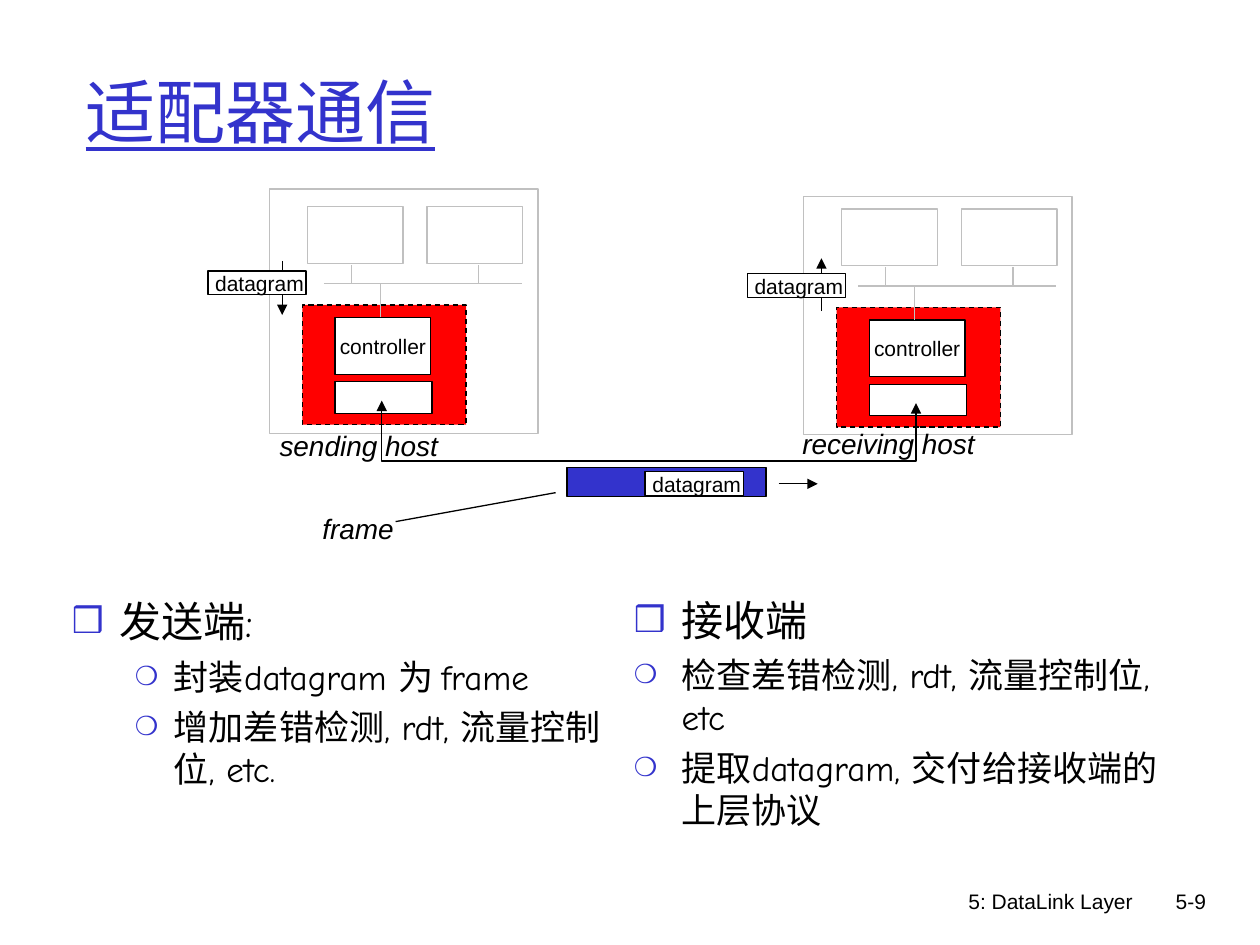
import dataclasses

import pptx
import pptx.dml.color
import pptx.enum.dml
import pptx.enum.shapes
import pptx.enum.text
import pptx.oxml.ns
import pptx.util
from lxml import etree
from pptx.util import Inches

ALIGN = pptx.enum.text.PP_ALIGN
ANCHOR = pptx.enum.text.MSO_ANCHOR
FIT = pptx.enum.text.MSO_AUTO_SIZE


@dataclasses.dataclass(frozen=True)
class Theme:
    """Colours, fonts and type sizes of the slide."""
    ink: str = "000000"
    paper: str = "FFFFFF"
    accent: str = "3333CC"
    adapter: str = "FF0000"
    muted: str = "C0C0C0"
    heading_font: str = "Comic Neue"
    label_font: str = "Arial"
    title_size: int = 40
    heading_size: int = 24
    point_size: int = 20
    caption_size: int = 16
    label_size: int = 12
    line_width: float = 0.75


def rgb(value):
    """Return the colour object for a hex value."""
    return pptx.dml.color.RGBColor.from_string(value)


def add_element(parent, tag, **attributes):
    """Append a DrawingML element to a parent element."""
    return etree.SubElement(parent, pptx.oxml.ns.qn(tag), attributes)


class SlideBuilder:
    """Draws styled elements on the current slide."""

    def __init__(self, slide, theme):
        """Keep the slide and its theme."""
        self.slide = slide
        self.theme = theme

    def style_font(self, paragraph, size, face, color=None, italic=False):
        """Set the font of a whole paragraph."""
        font = paragraph.font
        font.name = face
        font.size = pptx.util.Pt(size)
        font.color.rgb = rgb(color or self.theme.ink)
        font.italic = italic

    def style_line(self, line, color, head=False, tail=False):
        """Set an outline and its arrowheads."""
        line.color.rgb = rgb(color)
        line.width = pptx.util.Pt(self.theme.line_width)
        for tag, wanted in (("a:headEnd", head), ("a:tailEnd", tail)):
            if wanted:
                add_element(line._get_or_add_ln(), tag, type="triangle")

    def place(self, placeholder, left, top, width, height):
        """Move and size a placeholder."""
        placeholder.left, placeholder.top = Inches(left), Inches(top)
        placeholder.width, placeholder.height = Inches(width), Inches(height)
        placeholder.text_frame.auto_size = FIT.NONE

    def title(self, text, *bounds):
        """Fill the title placeholder."""
        heading = self.slide.shapes.title
        self.place(heading, *bounds)
        heading.text_frame.vertical_anchor = ANCHOR.MIDDLE
        paragraph = heading.text_frame.paragraphs[0]
        paragraph.text = text
        paragraph.alignment = ALIGN.LEFT
        self.style_font(paragraph, self.theme.title_size,
                        self.theme.heading_font, self.theme.accent)
        paragraph.font.underline = True

    def bullet(self, paragraph, char, size, indent, hanging):
        """Give a paragraph a coloured bullet and a hanging indent."""
        properties = paragraph._p.get_or_add_pPr()
        properties.set("marL", str(Inches(indent)))
        properties.set("indent", str(-Inches(hanging)))
        properties.set("hangingPunct", "0")
        color = add_element(properties, "a:buClr")
        add_element(color, "a:srgbClr", val=self.theme.accent)
        add_element(properties, "a:buSzPct", val=str(size * 1000))
        add_element(properties, "a:buChar", char=char)

    def bullets(self, index, bounds, heading, points, heading_level, indent, hanging):
        """Fill a body placeholder with a heading and its points."""
        body = self.slide.placeholders[index]
        self.place(body, *bounds)
        frame = body.text_frame
        for position, text in enumerate([heading, *points]):
            paragraph = frame.add_paragraph() if position else frame.paragraphs[0]
            paragraph.text = text
            paragraph.level = 1 if position else heading_level
            paragraph.space_before = pptx.util.Pt(5 if position else 0)
            if position:
                self.bullet(paragraph, "❍", 75, indent, hanging)
            else:
                self.bullet(paragraph, "❒", 85, 0.38, 0.38)
            size = self.theme.point_size if position else self.theme.heading_size
            self.style_font(paragraph, size, self.theme.heading_font)

    def label(self, text, left, top, width, height, size=None, italic=False):
        """Add a one-line label with its full width free for text."""
        box = self.slide.shapes.add_textbox(
            Inches(left), Inches(top), Inches(width), Inches(height))
        box.text_frame.word_wrap = True
        box.text_frame.margin_right = 0
        paragraph = box.text_frame.paragraphs[0]
        paragraph.text = text
        self.style_font(paragraph, size or self.theme.label_size,
                        self.theme.label_font, italic=italic)
        return box

    def caption(self, text, left, top, width):
        """Add an italic caption."""
        self.label(text, left, top, width, 0.37, self.theme.caption_size, True)

    def footer(self, text, left, width):
        """Add right-aligned footer text."""
        frame = self.label(text, left, 7, width, 0.5).text_frame
        frame.margin_right = Inches(0.1)
        frame.paragraphs[0].alignment = ALIGN.RIGHT

    def box(self, left, top, width, height, fill=None, line=None, text=""):
        """Add a rectangle, with centred text if given."""
        shape = self.slide.shapes.add_shape(
            pptx.enum.shapes.MSO_SHAPE.RECTANGLE,
            Inches(left), Inches(top), Inches(width), Inches(height))
        shape.shadow.inherit = False
        shape.fill.solid()
        shape.fill.fore_color.rgb = rgb(fill or self.theme.paper)
        self.style_line(shape.line, line or self.theme.ink)
        if text:
            shape.text_frame.word_wrap = False
            shape.text_frame.vertical_anchor = ANCHOR.MIDDLE
            paragraph = shape.text_frame.paragraphs[0]
            paragraph.text = text
            paragraph.alignment = ALIGN.CENTER
            self.style_font(paragraph, self.theme.label_size, self.theme.label_font)
        return shape

    def line(self, x1, y1, x2, y2, color=None, tail=False):
        """Add a straight line, with an arrow at its end if wanted."""
        connector = self.slide.shapes.add_connector(
            pptx.enum.shapes.MSO_CONNECTOR.STRAIGHT,
            Inches(x1), Inches(y1), Inches(x2), Inches(y2))
        self.style_line(connector.line, color or self.theme.ink, tail=tail)
        add_element(connector._element.spPr, "a:effectLst")

    def link(self, *points):
        """Add an open path with arrows at both ends."""
        start, *rest = [(Inches(x), Inches(y)) for x, y in points]
        builder = self.slide.shapes.build_freeform(*start)
        builder.add_line_segments(rest, close=False)
        path = builder.convert_to_shape()
        path.shadow.inherit = False
        path.fill.background()
        self.style_line(path.line, self.theme.ink, head=True, tail=True)

    def datagram(self, left, top):
        """Add a labelled datagram box."""
        self.box(left, top, 0.78, 0.19)
        self.label("datagram", left - 0.04, top - 0.05, 0.9, 0.3)

    def host(self, left, frame_top, frame_height, bus):
        """Add a host whose parts hang around its bus line."""
        muted = self.theme.muted
        self.box(left, frame_top, 2.13, frame_height, line=muted)
        card = self.box(left + 0.26, bus + 0.17, 1.3, 0.95, self.theme.adapter)
        card.line.dash_style = pptx.enum.dml.MSO_LINE.DASH
        self.box(left + 0.52, bus + 0.78, 0.77, 0.25)
        self.box(left + 0.52, bus + 0.27, 0.76, 0.45, text="controller")
        self.line(left + 0.43, bus, left + 2, bus, muted)
        self.line(left + 0.88, bus + 0.27, left + 0.88, bus, muted)
        for unit, stem in ((0.3, 0.65), (1.25, 1.66)):
            self.box(left + unit, bus - 0.61, 0.76, 0.45, line=muted)
            self.line(left + stem, bus, left + stem, bus - 0.15, muted)


def main():
    """Build and save the slide."""
    deck = pptx.Presentation()
    deck.slide_width, deck.slide_height = Inches(10), Inches(7.5)
    theme = Theme()
    page = SlideBuilder(deck.slides.add_slide(deck.slide_layouts[3]), theme)

    page.footer("5: DataLink Layer", 5.92, 3.17)
    page.footer("5-9", 8.93, 0.74)
    page.title("适配器通信", 0.58, 0.25, 8.5, 1.25)
    page.bullets(1, (0.47, 4.68, 4.45, 2.12), "发送端:",
                 ["封装datagram 为 frame", "增加差错检测, rdt, 流量控制位, etc."],
                 0, 0.81, 0.31)
    page.bullets(2, (4.93, 4.67, 4.4, 2.02), "接收端",
                 ["检查差错检测, rdt, 流量控制位, etc", "提取datagram, 交付给接收端的上层协议"],
                 1, 0.38, 0.38)

    page.host(2.14, 1.5, 1.94, 2.25)
    page.host(6.38, 1.56, 1.89, 2.27)
    page.caption("sending host", 2.12, 3.35, 1.45)
    page.caption("receiving host", 6.27, 3.34, 1.57)
    page.line(2.24, 2.07, 2.24, 2.5, tail=True)
    page.datagram(1.65, 2.15)
    page.line(6.52, 2.47, 6.52, 2.05, tail=True)
    page.datagram(5.93, 2.17)

    page.link((3.03, 3.18), (3.03, 3.66), (7.27, 3.66), (7.27, 3.2))
    page.box(4.5, 3.71, 1.58, 0.23, theme.accent)
    page.datagram(5.12, 3.74)
    page.line(6.18, 3.84, 6.49, 3.84, tail=True)
    page.caption("frame", 2.46, 4.01, 0.76)
    page.line(3.14, 4.14, 4.41, 3.91)
    deck.save("out.pptx")


if __name__ == "__main__":
    main()
